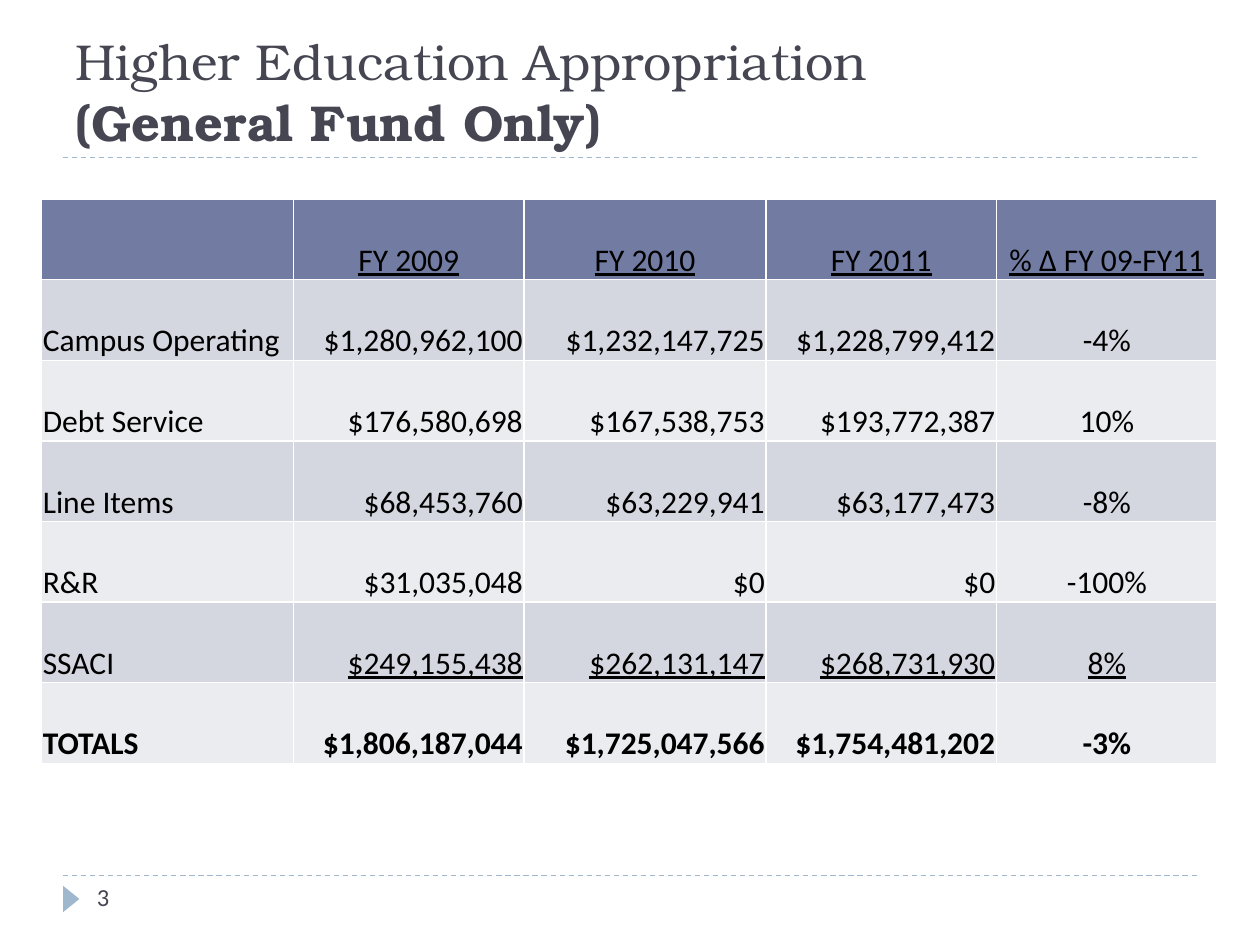
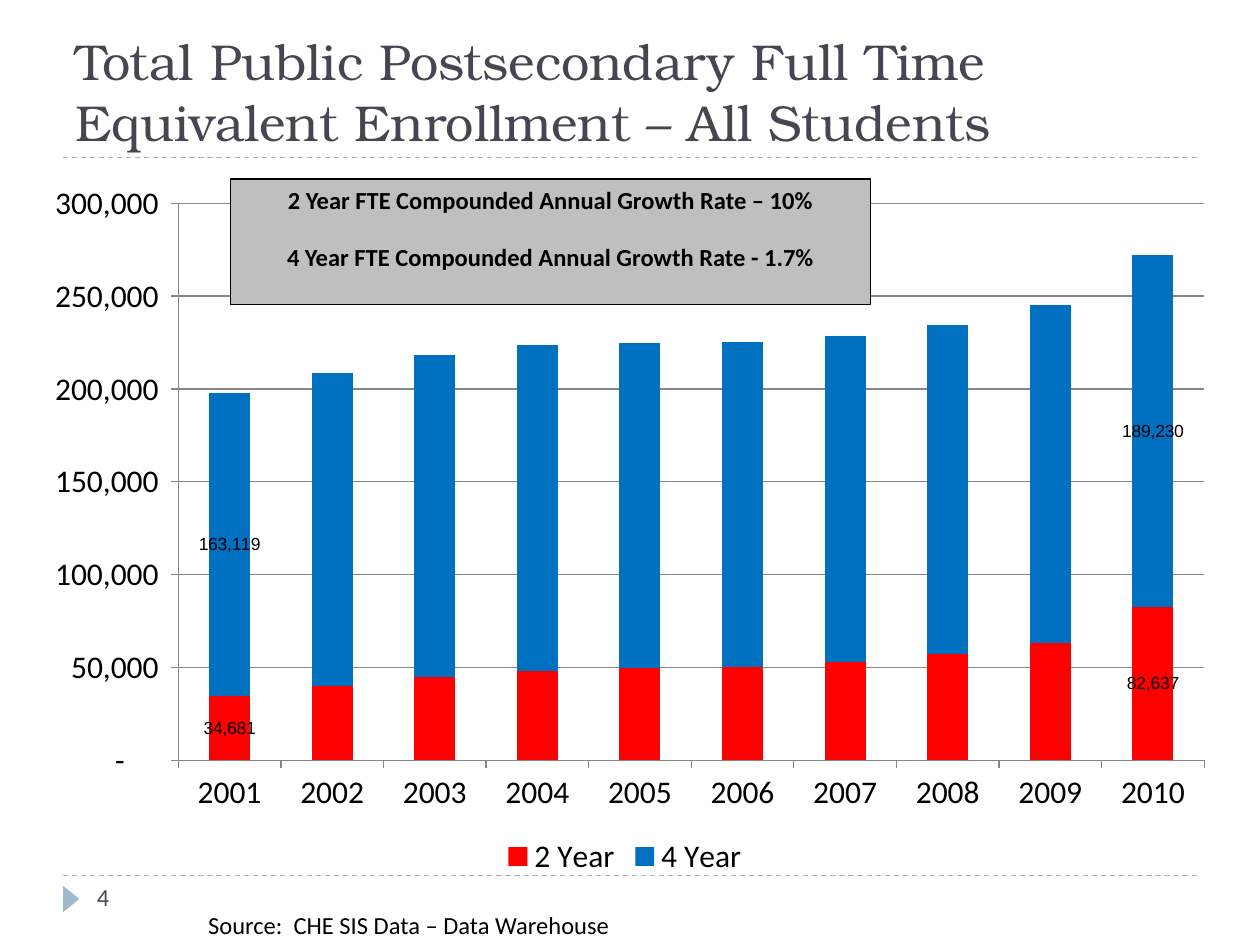
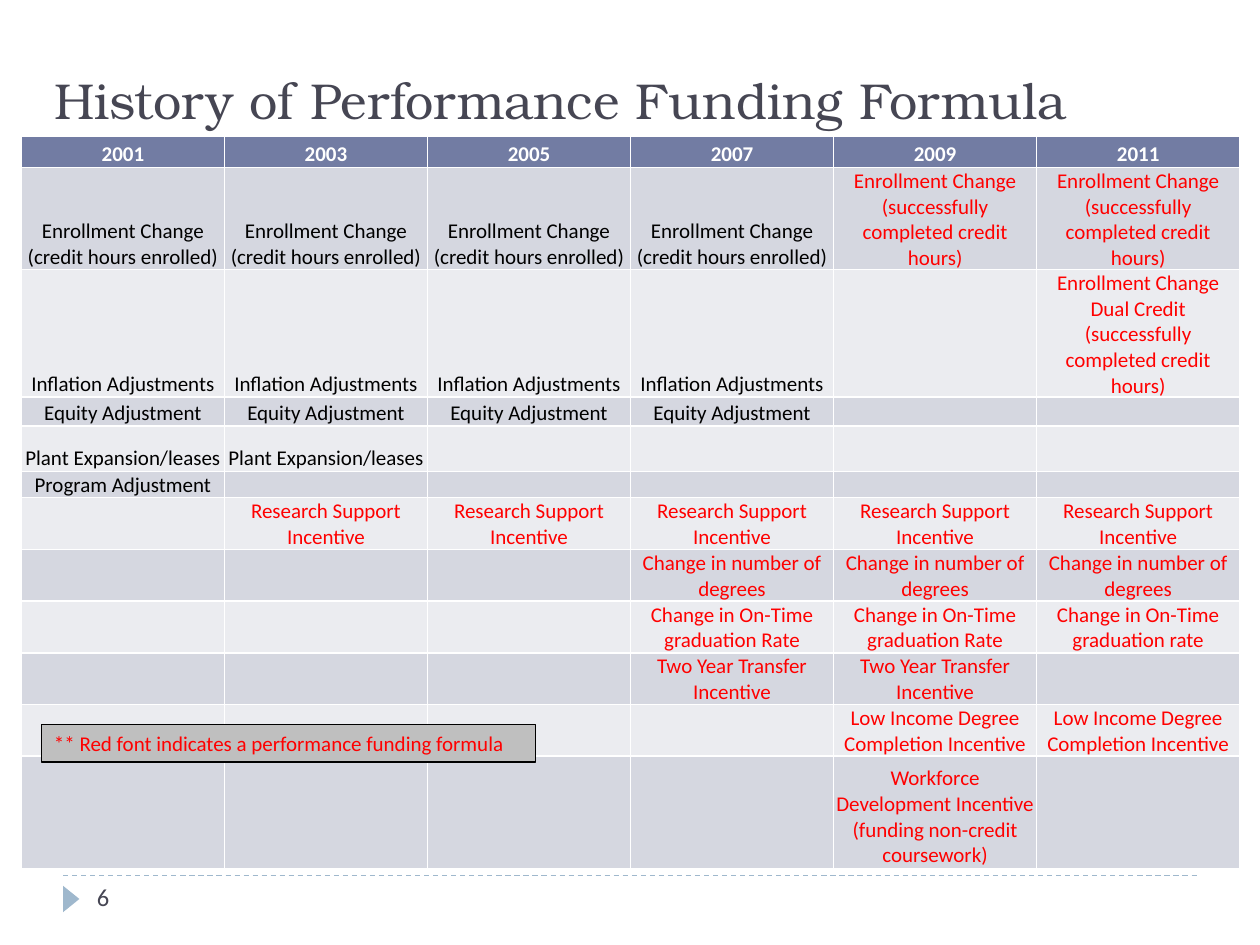
import pptx
import pptx.chart.data
import pptx.dml.color
import pptx.enum.chart
import pptx.enum.dml
import pptx.enum.shapes
import pptx.enum.text
import pptx.oxml
import pptx.oxml.ns
import pptx.util
import lxml.etree

Inches = pptx.util.Inches
Pt = pptx.util.Pt
align = pptx.enum.text.PP_ALIGN
anchor = pptx.enum.text.MSO_ANCHOR
preset = pptx.enum.shapes.MSO_SHAPE
qn = pptx.oxml.ns.qn

INK, ACCENT, HEADER = "464653", "9FB8CD", "727CA3"
BANDS = ["EBECF0", "D5D7E0"]
BLACK, WHITE, RED, BLUE, GREY = "000000", "FFFFFF", "FF0000", "0070C0", "BFBFBF"


def color(target, value):
    target.rgb = pptx.dml.color.RGBColor.from_string(value)


def write(para, text, value, **formats):
    span = para.add_run()
    span.text = text
    for name, setting in {"name": "Calibri", **formats}.items():
        setattr(span.font, name, setting)
    color(span.font.color, value)


deck = pptx.Presentation()
deck.slide_width, deck.slide_height = Inches(10), Inches(7.5)

titles = [
    ("3", (0.5, 0.17, 9, 1.08), ["Higher Education Appropriation", "(General Fund Only)"]),
    ("4", (0.5, 0.17, 9, 1.08), ["Total Public Postsecondary Full Time Equivalent Enrollment – All Students"]),
    ("6", (0.33, 0.5, 9, 0.58), ["History of Performance Funding Formula"]),
]
pages = []
for number, place, lines in titles:
    page = deck.slides.add_slide(deck.slide_layouts[5])
    pages.append(page)

    title = page.shapes.title
    title.left, title.top, title.width, title.height = map(Inches, place)
    frame = title.text_frame
    frame.auto_size = pptx.enum.text.MSO_AUTO_SIZE.NONE
    frame.word_wrap = True
    frame.vertical_anchor = anchor.BOTTOM
    para = frame.paragraphs[0]
    para.alignment = align.LEFT
    for index, line in enumerate(lines):
        if index:
            para.add_line_break()
        write(para, line, INK, name="TeX Gyre Bonum", size=Pt(28.8), bold=index > 0)

    for height in (6.95, 1.25):
        rule = page.shapes.add_connector(
            pptx.enum.shapes.MSO_CONNECTOR.STRAIGHT, Inches(0.5), Inches(height), Inches(9.5), Inches(height))
        color(rule.line.fill.fore_color if rule.line.fill.solid() else rule.line.color, ACCENT)
        rule.line.width = Pt(0.75)
        rule.line.dash_style = pptx.enum.dml.MSO_LINE.DASH
        lxml.etree.SubElement(rule._element.spPr, qn("a:effectLst"))

    marker = page.shapes.add_shape(
        preset.ISOSCELES_TRIANGLE, Inches(0.46), Inches(7.07), Inches(0.21), Inches(0.13))
    marker.rotation = 90
    marker.shadow.inherit = False
    marker.fill.solid()
    color(marker.fill.fore_color, ACCENT)
    marker.line.fill.background()

    box = page.shapes.add_textbox(Inches(0.67), Inches(6.95), Inches(2.17), Inches(0.4))
    box.text_frame.word_wrap = True
    write(box.text_frame.paragraphs[0], number, INK, size=Pt(14))

appropriations = [
    ["", "FY 2009", "FY 2010", "FY 2011", "% Δ FY 09-FY11"],
    ["Campus Operating", "$1,280,962,100", "$1,232,147,725", "$1,228,799,412", "-4%"],
    ["Debt Service", "$176,580,698", "$167,538,753", "$193,772,387", "10%"],
    ["Line Items", "$68,453,760", "$63,229,941", "$63,177,473", "-8%"],
    ["R&R", "$31,035,048", "$0", "$0", "-100%"],
    ["SSACI", "$249,155,438", "$262,131,147", "$268,731,930", "8%"],
    ["TOTALS", "$1,806,187,044", "$1,725,047,566", "$1,754,481,202", "-3%"],
]
appropriation_cells = {}
for row, values in enumerate(appropriations):
    for column, text in enumerate(values):
        side = align.CENTER if row == 0 or column == 4 else align.RIGHT if column else align.LEFT
        formats = {"underline": row == 0 or (row == 5 and column > 0), "bold": row == 6}
        appropriation_cells[row, column] = (text, side, BLACK, formats)

formula_spans = [
    (1, 0, 3, "Enrollment Change (credit hours enrolled)", BLACK),
    (1, 4, 5, "Enrollment Change (successfully completed credit hours)", RED),
    (2, 0, 3, "Inflation Adjustments", BLACK),
    (2, 5, 5, "Enrollment Change Dual Credit (successfully completed credit hours)", RED),
    (3, 0, 3, "Equity Adjustment", BLACK),
    (4, 0, 1, "Plant Expansion/leases", BLACK),
    (5, 0, 0, "Program Adjustment", BLACK),
    (6, 1, 5, "Research Support Incentive", RED),
    (7, 3, 5, "Change in number of degrees", RED),
    (8, 3, 4, "Change in On-Time graduation Rate", RED),
    (8, 5, 5, "Change in On-Time graduation rate", RED),
    (9, 3, 4, "Two Year Transfer Incentive", RED),
    (10, 4, 5, "Low Income Degree Completion Incentive", RED),
    (11, 4, 4, "Workforce Development Incentive (funding non-credit coursework)", RED),
]
formula_cells = {}
for column in range(6):
    formula_cells[0, column] = (str(2001 + 2 * column), align.CENTER, WHITE, {"bold": True})
for row, first, last, text, value in formula_spans:
    for column in range(first, last + 1):
        formula_cells[row, column] = (text, align.CENTER, value, {"bold": False})

tables = [
    (pages[0], 0.33, 1.58, [2, 1.83, 1.92, 1.83, 1.75], [0.64] * 7, 18, appropriation_cells),
    (pages[2], 0.17, 1.08, [9.67 / 6] * 6,
     [0.25, 0.74, 0.8, 0.23, 0.36, 0.21] + [0.41] * 5 + [0.89], 12, formula_cells),
]
for page, left, top, widths, heights, size, cells in tables:
    table = page.shapes.add_table(
        len(heights), len(widths), Inches(left), Inches(top), Inches(sum(widths)), Inches(sum(heights))).table
    for column, width in zip(table.columns, widths):
        column.width = Inches(width)
    for row, height in enumerate(heights):
        table.rows[row].height = Inches(height)
        for column in range(len(widths)):
            cell = table.cell(row, column)
            cell.margin_left = cell.margin_right = cell.margin_top = Inches(0.01)
            cell.margin_bottom = 0
            cell.vertical_anchor = anchor.BOTTOM
            cell.fill.solid()
            color(cell.fill.fore_color, BANDS[row % 2] if row else HEADER)
            para = cell.text_frame.paragraphs[0]
            text, side, value, formats = cells.get((row, column), ("", align.LEFT, BLACK, {}))
            para.alignment = side
            if text:
                write(para, text, value, size=Pt(size), **formats)
            else:
                lxml.etree.SubElement(para._p, qn("a:endParaRPr"), sz=str(size * 100))

enrollment = pptx.chart.data.CategoryChartData(number_format="#,##0")
enrollment.categories = [str(year) for year in range(2001, 2011)]
enrollment.add_series("2 Year", [34681, 40050, 44713, 48149, 49817, 50441, 52954, 57484, 63432, 82637])
enrollment.add_series(
    "4 Year", [163119, 168289, 173656, 175702, 174868, 174691, 175749, 177061, 181775, 189230])
chart = pages[1].shapes.add_chart(
    pptx.enum.chart.XL_CHART_TYPE.COLUMN_STACKED,
    Inches(0.17), Inches(1.33), Inches(9.58), Inches(5.67), enrollment).chart
chart.has_title = False
chart.font.name, chart.font.size = "Calibri", Pt(18)
color(chart.font.color, BLACK)
chart.has_legend = True
chart.legend.position = pptx.enum.chart.XL_LEGEND_POSITION.BOTTOM
chart.legend.include_in_layout = False
plot = chart.plots[0]
plot.gap_width, plot.overlap, plot.vary_by_categories = 150, 100, False
for series, value in zip(plot.series, (RED, BLUE)):
    series.format.fill.solid()
    color(series.format.fill.fore_color, value)
    for index in (0, 9):
        label = series.points[index].data_label
        label.font.name, label.font.size = "Arial", Pt(10)
        color(label.font.color, BLACK)
        label.position = pptx.enum.chart.XL_LABEL_POSITION.CENTER
values_axis = chart.value_axis
values_axis.minimum_scale, values_axis.maximum_scale, values_axis.major_unit = 0, 300000, 50000
values_axis.tick_labels.number_format = '_(* #,##0_);_(* \\(#,##0\\);_(* "-"??_);_('
values_axis.tick_labels.number_format_is_linked = False
for line in (values_axis.format.line, chart.category_axis.format.line, values_axis.major_gridlines.format.line):
    color(line.color, "868686")
    line.width = Pt(0.75)

area = chart._chartSpace.chart.plotArea
for old in area.findall(qn("c:layout")):
    area.remove(old)
layout = lxml.etree.Element(qn("c:layout"))
manual = lxml.etree.SubElement(layout, qn("c:manualLayout"))
for name, setting in {"layoutTarget": "inner", "xMode": "edge", "yMode": "edge",
                      "x": "0.13", "y": "0.05", "w": "0.85", "h": "0.78"}.items():
    lxml.etree.SubElement(manual, qn("c:" + name), val=setting)
area.insert(0, layout)

notes = [
    (pages[1], (1.83, 1.42, 5.08, 1), GREY, BLACK, 0.75, align.CENTER, BLACK, 14, True,
     ["2 Year FTE Compounded Annual Growth Rate – 10%", "4 Year FTE Compounded Annual Growth Rate - 1.7%"]),
    (pages[1], (1.33, 7.17, 3.83, 0.33), WHITE, WHITE, 0.75, align.CENTER, BLACK, 14, False,
     ["Source:  CHE SIS Data – Data Warehouse"]),
    (pages[2], (0.33, 5.75, 3.92, 0.3), GREY, BLACK, 1, align.LEFT, RED, 12, False,
     ["** Red font indicates a performance funding formula"]),
]
for page, place, fill, edge, weight, side, value, size, bold, lines in notes:
    box = page.shapes.add_shape(preset.RECTANGLE, *map(Inches, place))
    box.shadow.inherit = False
    box.fill.solid()
    color(box.fill.fore_color, fill)
    color(box.line.color, edge)
    box.line.width = Pt(weight)
    frame = box.text_frame
    frame.word_wrap = True
    frame.vertical_anchor = anchor.TOP
    for index, line in enumerate(lines):
        para = frame.add_paragraph() if index else frame.paragraphs[0]
        para.alignment = side
        if index:
            para.space_before = Pt(16)
        write(para, line, value, size=Pt(size), bold=bold)

deck.save("out.pptx")
